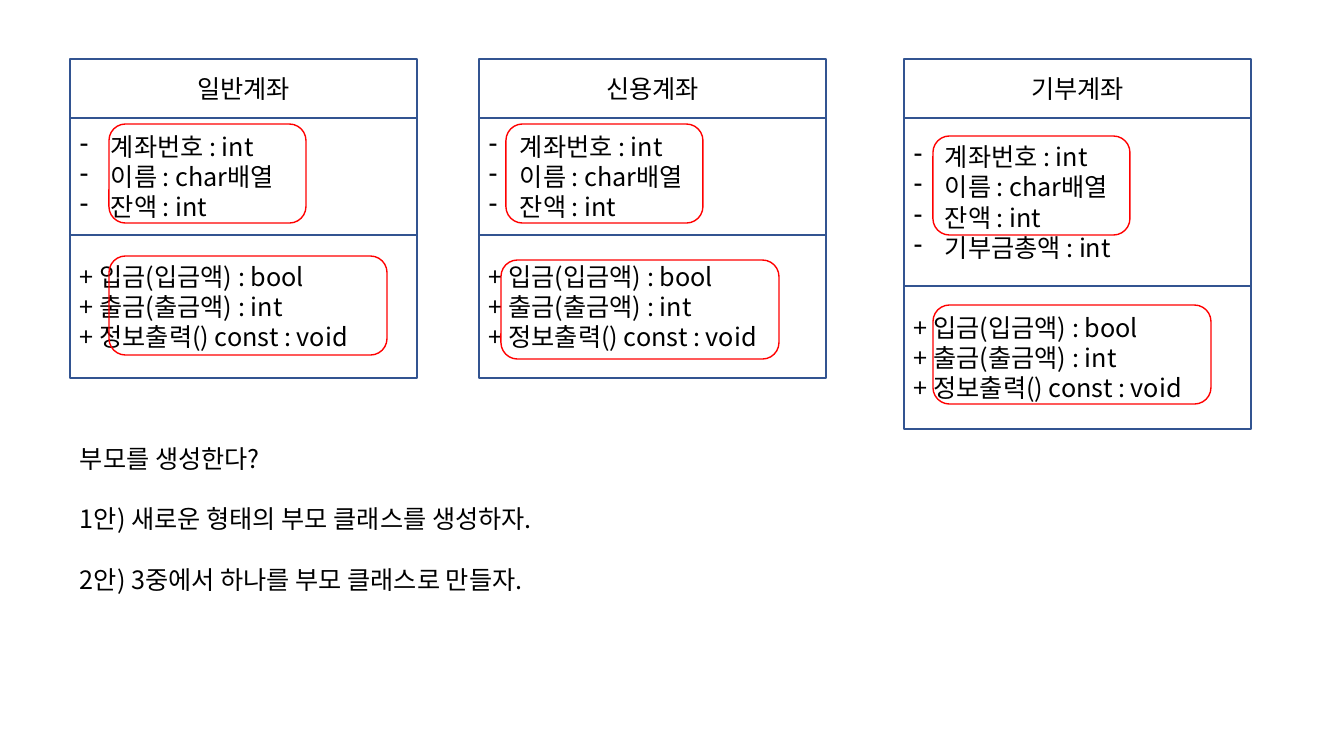
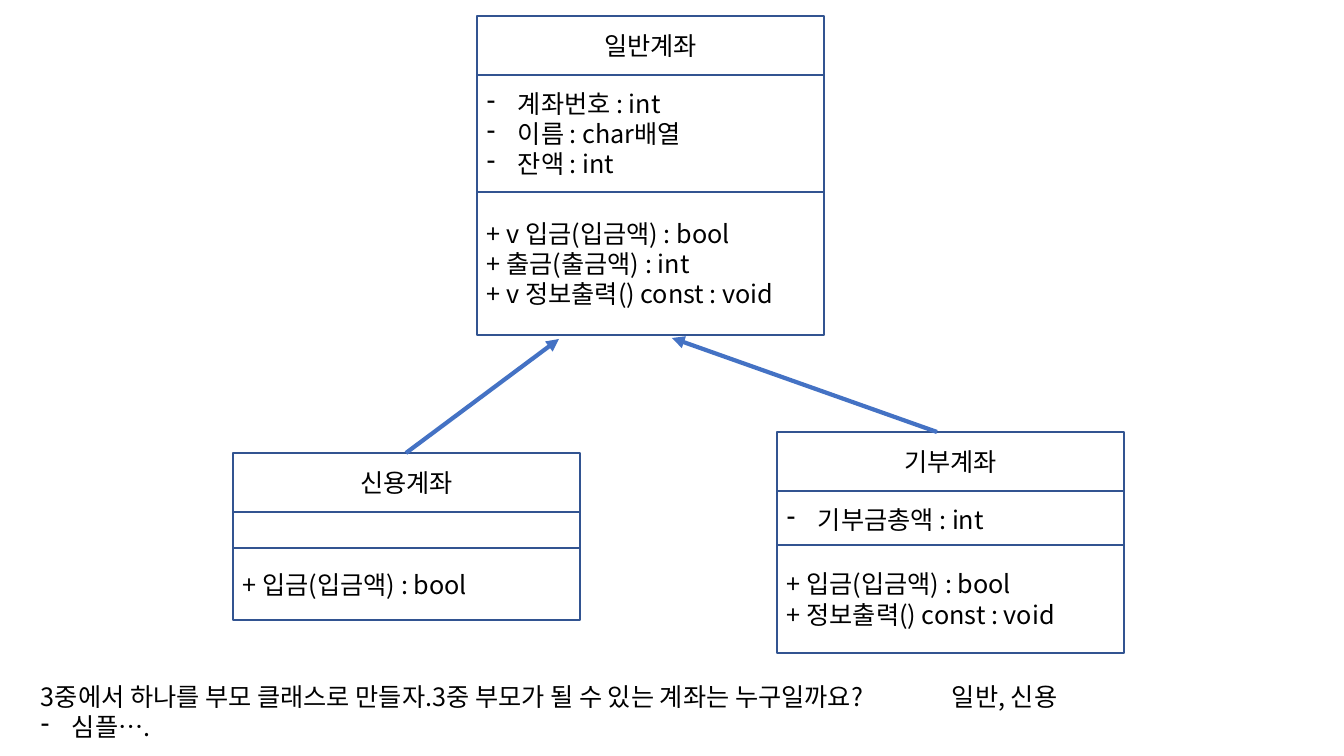
from lxml import etree
from pptx import Presentation
from pptx import util as u
from pptx.dml.color import RGBColor
from pptx.enum import shapes, text
from pptx.oxml import ns

PIXEL = 914400 / 100.8
WHITE = RGBColor(0xFF, 0xFF, 0xFF)
BLACK = RGBColor(0x00, 0x00, 0x00)
NAVY = RGBColor(0x32, 0x54, 0x91)
BLUE = RGBColor(0x44, 0x72, 0xC4)
RED = RGBColor(0xFF, 0x00, 0x00)


def px(*lengths):
    return [u.Emu(round(length * PIXEL)) for length in lengths]


def add_tag(parent, tag, **attributes):
    return etree.SubElement(parent, ns.qn(tag), attributes)


class Diagram:
    """Style of the class diagrams and the slide being drawn."""

    font = "Noto Sans CJK KR"
    size = u.Pt(18)
    line_height = u.Pt(21.6)
    class_width = 347
    name_height = 59
    indent = 31

    def __init__(self):
        self.presentation = Presentation()
        self.presentation.slide_width, self.presentation.slide_height = px(1344, 756)
        self.slide = None

    def new_slide(self):
        self.slide = self.presentation.slides.add_slide(self.presentation.slide_layouts[6])

    def set_lines(self, frame, lines, align=text.PP_ALIGN.LEFT, gap=0):
        """Fill a text frame; lines starting with "- " become bullets."""
        for index, line in enumerate(lines):
            paragraph = frame.add_paragraph() if index else frame.paragraphs[0]
            paragraph.text = line.removeprefix("- ")
            paragraph.alignment = align
            paragraph.line_spacing = self.line_height
            paragraph.space_before = u.Pt(gap if index else 0)
            properties = paragraph._p.get_or_add_pPr()
            if line.startswith("- "):
                indent = px(self.indent)[0]
                properties.set("marL", str(indent))
                properties.set("indent", str(-indent))
                add_tag(properties, "a:buChar", char="-")
            paragraph.font.size = self.size
            paragraph.font.color.rgb = BLACK
            paragraph.font.name = self.font
            add_tag(properties.find(ns.qn("a:defRPr")), "a:ea", typeface=self.font)

    def shape(self, kind, left, top, width, height, line_color):
        shape = self.slide.shapes.add_shape(kind, *px(left, top, width, height))
        shape.shadow.inherit = False
        shape.line.color.rgb = line_color
        shape.line.width = u.Pt(1)
        return shape

    def compartment(self, left, top, height, lines, align=text.PP_ALIGN.LEFT):
        box = self.shape(shapes.MSO_SHAPE.RECTANGLE, left, top, self.class_width, height, NAVY)
        box.fill.solid()
        box.fill.fore_color.rgb = WHITE
        box.text_frame.vertical_anchor = text.MSO_ANCHOR.MIDDLE
        self.set_lines(box.text_frame, lines, align)

    def class_box(self, left, top, name, fields, methods,
                  fields_height=117, methods_height=143, overlap=0):
        self.compartment(left, top, self.name_height, [name], text.PP_ALIGN.CENTER)
        top += self.name_height
        self.compartment(left, top, fields_height, fields)
        self.compartment(left, top + fields_height - overlap, methods_height, methods)

    def highlight(self, left, top, width):
        frame = self.shape(shapes.MSO_SHAPE.ROUNDED_RECTANGLE, left, top, width, 99, RED)
        frame.fill.background()

    def note(self, left, top, width, height, lines, wrap=True, gap=0):
        box = self.slide.shapes.add_textbox(*px(left, top, width, height))
        box.text_frame.word_wrap = wrap
        box.text_frame.auto_size = text.MSO_AUTO_SIZE.SHAPE_TO_FIT_TEXT
        self.set_lines(box.text_frame, lines, gap=gap)
        return box

    def tab_stop(self, paragraph, position):
        tabs = etree.Element(ns.qn("a:tabLst"))
        add_tag(tabs, "a:tab", pos=str(px(position)[0]), algn="l")
        paragraph._p.pPr.find(ns.qn("a:defRPr")).addprevious(tabs)

    def arrow(self, start, end):
        connector = self.slide.shapes.add_connector(
            shapes.MSO_CONNECTOR.STRAIGHT, *px(*start, *end))
        connector.line.color.rgb = BLUE
        connector.line.width = u.Pt(3)
        properties = connector._element.spPr
        add_tag(properties.find(ns.qn("a:ln")), "a:tailEnd", type="triangle")
        add_tag(properties, "a:effectLst")


FIELDS = ["- 계좌번호 : int", "- 이름 : char배열", "- 잔액 : int"]
TOTAL = "- 기부금총액 : int"
DEPOSIT = "+ 입금(입금액) : bool"
WITHDRAW = "+ 출금(출금액) : int"
PRINT = "+ 정보출력() const : void"
METHODS = [DEPOSIT, WITHDRAW, PRINT]

diagram = Diagram()

# Slide 1: three separate classes with their common members
diagram.new_slide()
diagram.class_box(70, 59, "일반계좌", FIELDS, METHODS)
diagram.class_box(479, 59, "신용계좌", FIELDS, METHODS)
diagram.class_box(904, 59, "기부계좌", FIELDS + [TOTAL], METHODS, fields_height=168)
for left, top in [(109, 124), (506, 124), (933, 136)]:
    diagram.highlight(left, top, 197)
for left, top in [(109, 256), (501, 260), (933, 305)]:
    diagram.highlight(left, top, 278)
diagram.note(70, 438, 525, 194, [
    "부모를 생성한다?",
    "1안) 새로운 형태의 부모 클래스를 생성하자.",
    "2안) 3중에서 하나를 부모 클래스로 만들자.",
], wrap=False, gap=21.6)

# Slide 2: one parent class and two derived classes
diagram.new_slide()
diagram.class_box(477, 16, "일반계좌", FIELDS,
                  [DEPOSIT.replace("+", "+ v"), WITHDRAW, PRINT.replace("+", "+ v")])
diagram.class_box(233, 453, "신용계좌", [], [DEPOSIT],
                  fields_height=38, methods_height=72, overlap=2)
diagram.class_box(777, 432, "기부계좌", [TOTAL], [DEPOSIT, PRINT],
                  fields_height=57, methods_height=108, overlap=3)
question = diagram.note(31, 676, 1264, 72, [
    "3중에서 하나를 부모 클래스로 만들자.3중 부모가 될 수 있는 계좌는 누구일까요?\t일반, 신용",
    "- 심플….",
])
diagram.tab_stop(question.text_frame.paragraphs[0], 911)
diagram.arrow((406, 453), (559, 339))
diagram.arrow((937, 432), (672, 338))

diagram.presentation.save("out.pptx")
